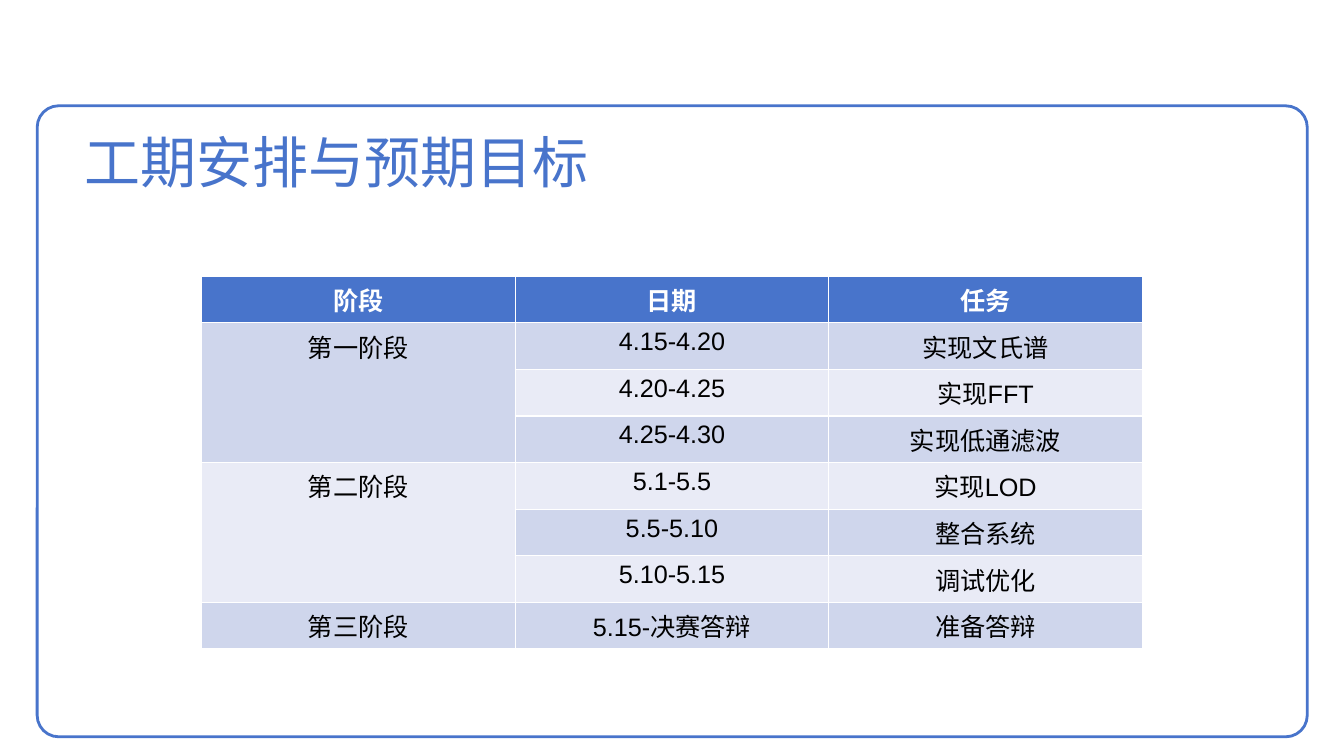
from pptx import Presentation
from pptx.dml.color import RGBColor
from pptx.enum.shapes import MSO_SHAPE
from pptx.enum.text import MSO_ANCHOR, MSO_AUTO_SIZE, PP_ALIGN
from pptx.util import Pt

ROUNDED = MSO_SHAPE.ROUNDED_RECTANGLE
MIDDLE = MSO_ANCHOR.MIDDLE
NO_FIT = MSO_AUTO_SIZE.NONE
LEFT, CENTER = PP_ALIGN.LEFT, PP_ALIGN.CENTER

# Content
TITLE = "工期安排与预期目标"
HEADERS = ("阶段", "日期", "任务")
PHASES = [
    ("第一阶段", [("4.15-4.20", "实现文氏谱"),
                  ("4.20-4.25", "实现FFT"),
                  ("4.25-4.30", "实现低通滤波")]),
    ("第二阶段", [("5.1-5.5", "实现LOD"),
                  ("5.5-5.10", "整合系统"),
                  ("5.10-5.15", "调试优化")]),
    ("第三阶段", [("5.15-决赛答辩", "准备答辩")]),
]

# Style and layout, in points
COLORS = {"blue": "4874CB", "white": "FFFFFF", "black": "000000",
          "odd_row": "CFD6EC", "even_row": "E9EBF6"}
FONT = "Arial"
SLIDE_SIZE = (960, 540)
FRAME_BOX = (26.6, 75.6, 907.2, 450.7)
TITLE_BOX = (53.3, 87.1, 602.6, 55.4)
TABLE_LEFT, TABLE_TOP = 144, 197.3
COLUMN_WIDTH, ROW_HEIGHT = 224, 30


def color(name):
    return RGBColor.from_string(COLORS[name])


def format_text(text_frame, size, color_name, alignment, bold=False):
    paragraph = text_frame.paragraphs[0]
    paragraph.alignment = alignment
    for run in paragraph.runs:
        run.font.name = FONT
        run.font.size = Pt(size)
        run.font.bold = bold
        run.font.color.rgb = color(color_name)


def add_frame(slide):
    frame = slide.shapes.add_shape(ROUNDED, *map(Pt, FRAME_BOX))
    frame.adjustments[0] = 0.034
    frame.shadow.inherit = False
    frame.fill.solid()
    frame.fill.fore_color.rgb = color("white")
    frame.line.color.rgb = color("blue")
    frame.line.width = Pt(2)
    # Send the frame behind the title
    slide.shapes.title._element.addprevious(frame._element)


def add_title(slide):
    title = slide.shapes.title
    title.left, title.top, title.width, title.height = map(Pt, TITLE_BOX)
    text_frame = title.text_frame
    text_frame.text = TITLE
    text_frame.word_wrap = True
    text_frame.auto_size = NO_FIT
    text_frame.vertical_anchor = MIDDLE
    format_text(text_frame, 40, "blue", LEFT)


def add_schedule(slide):
    rows = [HEADERS]
    merges = []
    for phase, tasks in PHASES:
        first = len(rows)
        for index, (date, task) in enumerate(tasks):
            rows.append(("" if index else phase, date, task))
        if len(tasks) > 1:
            merges.append((first, len(rows) - 1))

    columns = len(HEADERS)
    table = slide.shapes.add_table(
        len(rows), columns, Pt(TABLE_LEFT), Pt(TABLE_TOP),
        Pt(columns * COLUMN_WIDTH), Pt(len(rows) * ROW_HEIGHT)).table

    for row_index, row in enumerate(rows):
        is_header = row_index == 0
        band = "odd_row" if row_index % 2 else "even_row"
        for column_index, text in enumerate(row):
            cell = table.cell(row_index, column_index)
            cell.text_frame.text = text
            cell.fill.solid()
            cell.fill.fore_color.rgb = color("blue" if is_header else band)
            format_text(cell.text_frame, 18,
                        "white" if is_header else "black", CENTER, is_header)

    for first, last in merges:
        table.cell(first, 0).merge(table.cell(last, 0))


def main():
    presentation = Presentation()
    presentation.slide_width, presentation.slide_height = map(Pt, SLIDE_SIZE)
    slide = presentation.slides.add_slide(presentation.slide_layouts[5])
    add_frame(slide)
    add_title(slide)
    add_schedule(slide)
    presentation.save("out.pptx")


if __name__ == "__main__":
    main()
